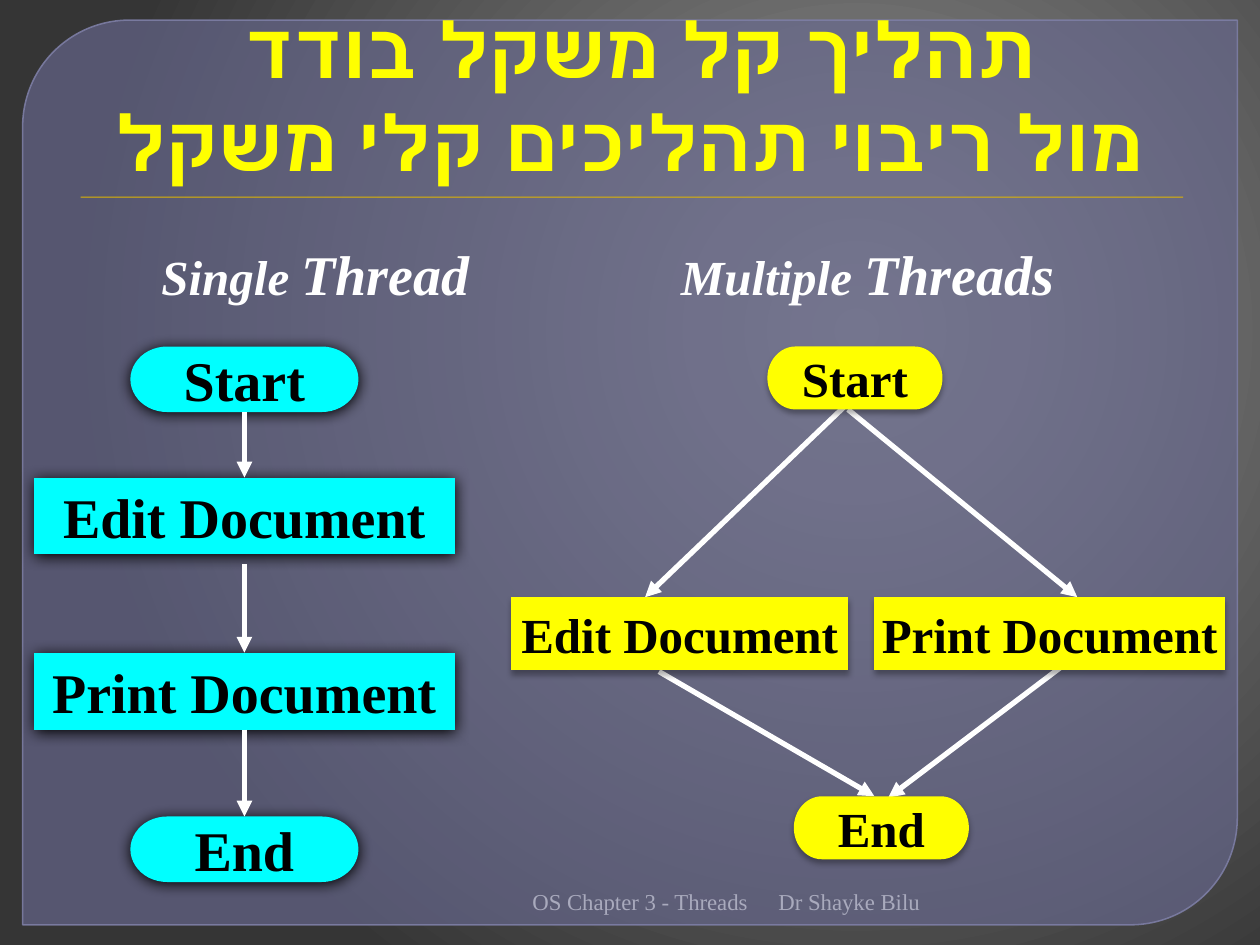
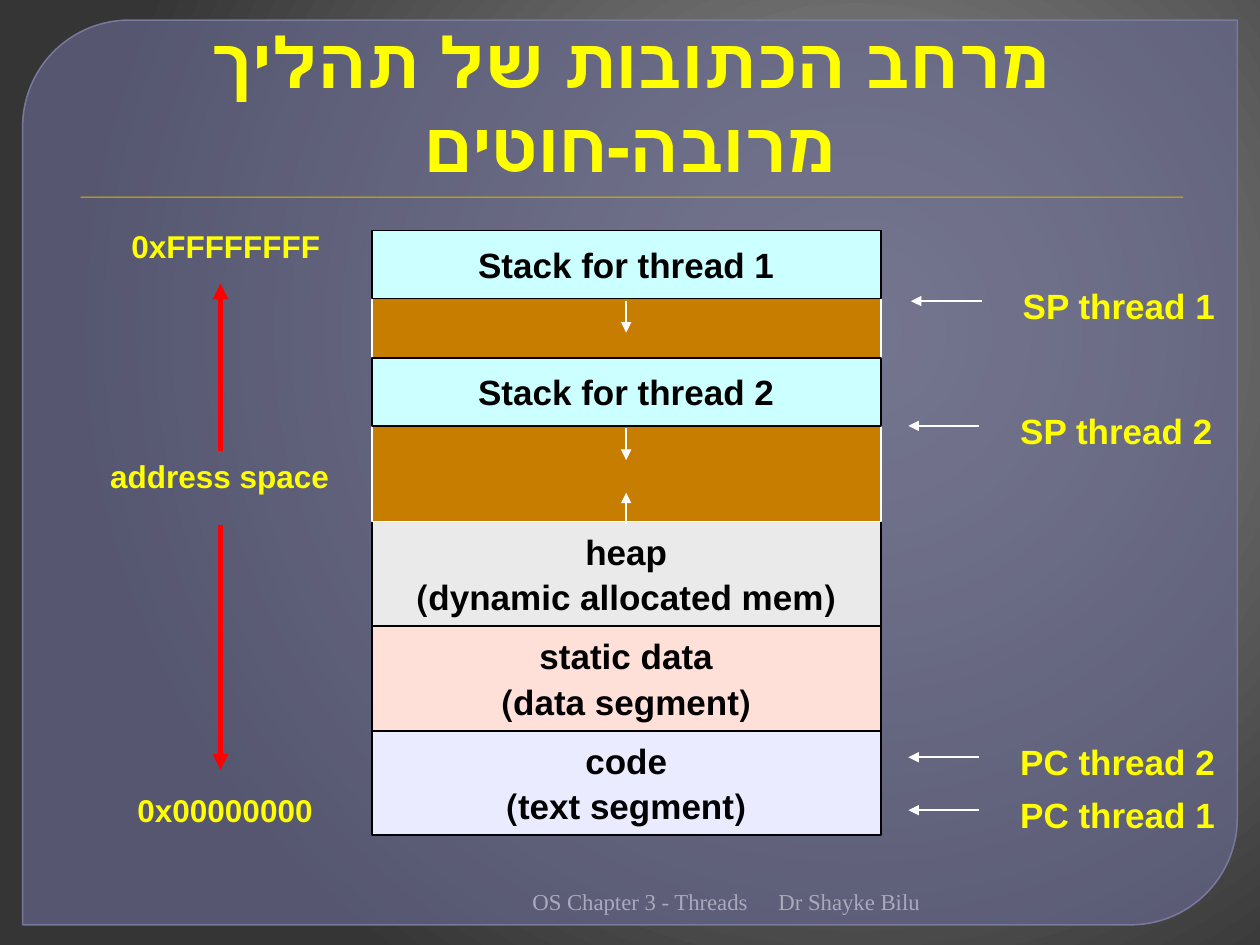
import pptx
import pptx.util
import pptx.oxml
import pptx.oxml.ns
import pptx.dml.color
import pptx.enum.shapes
import pptx.enum.text

Inches = pptx.util.Inches
Pt = pptx.util.Pt
RGB = pptx.dml.color.RGBColor
SHAPE = pptx.enum.shapes.MSO_SHAPE
ALIGN = pptx.enum.text.PP_ALIGN
ANCHOR = pptx.enum.text.MSO_ANCHOR
qn = pptx.oxml.ns.qn

# Colours
PANEL = RGB(0x68, 0x69, 0x90)
EDGE = RGB(0x7E, 0x7F, 0xA6)
GOLD = RGB(0xE0, 0xB6, 0x02)
YELLOW = RGB(0xFF, 0xFF, 0x00)
CYAN = RGB(0x00, 0xFF, 0xFF)
WHITE = RGB(0xFF, 0xFF, 0xFF)
BLACK = RGB(0x00, 0x00, 0x00)
RED = RGB(0xFF, 0x00, 0x00)
GREY = RGB(0xA9, 0xAA, 0xBD)
STACK = RGB(0xCC, 0xFF, 0xFF)
FREE = RGB(0xC7, 0x7D, 0x00)
HEAP = RGB(0xEA, 0xEA, 0xEA)
DATA = RGB(0xFF, 0xE0, 0xD9)
CODE = RGB(0xEB, 0xEB, 0xFF)

SANS, SERIF = "Arial", "Times New Roman"

# Shadows: opacity in percent, blur and distance in points
DEEP, SOFT, THIN = (100, 8.5, 1), (32, 3.5, 2.2), (75, 1, 1)

NS = pptx.oxml.ns.nsdecls("a", "p")
STOPS = ((0, "8C8C8C"), (20, "7F7F7F"), (100, "353535"))


def xml(text):
    """Make an element from text with one %s for the namespaces."""
    return pptx.oxml.parse_xml(text % NS)


def write(frame, paras, size=20, font=SANS, color=BLACK, bold=True,
          italic=False, align=ALIGN.CENTER, anchor=ANCHOR.TOP, rtl=False,
          wrap=False, before=0):
    """Fill a frame; a paragraph is a string or a list of (text, size)."""
    frame.word_wrap = wrap
    frame.auto_size = pptx.enum.text.MSO_AUTO_SIZE.NONE
    frame.vertical_anchor = anchor
    for i, runs in enumerate(paras):
        para = frame.add_paragraph() if i else frame.paragraphs[0]
        para.alignment = align
        if before:
            para.space_before = Pt(before)
        if rtl:
            para._p.get_or_add_pPr().set("rtl", "1")
        if isinstance(runs, str):
            runs = [(runs, size)]
        for text, points in runs:
            for n, line in enumerate(text.split("\n")):
                if n:
                    para.add_line_break()
                run = para.add_run()
                run.text = line
                run.font.name = font
                run.font.size = Pt(points)
                run.font.bold = bold
                run.font.italic = italic
                run.font.color.rgb = color


def label(slide, box, paras, **style):
    area = slide.shapes.add_textbox(*map(Inches, box))
    write(area.text_frame, paras, **style)


def fade(fill, percent):
    """Make the colour under a fill element partly transparent."""
    color = next(fill.iter(qn("a:srgbClr")))
    color.append(xml(f'<a:alpha %s val="{percent * 1000}"/>'))


def block(slide, kind, box, fill, line=None, width=1, shadow=None):
    shape = slide.shapes.add_shape(kind, *map(Inches, box))
    shape.fill.solid()
    shape.fill.fore_color.rgb = fill
    if line is None:
        shape.line.fill.background()
    else:
        shape.line.color.rgb = line
        shape.line.width = Pt(width)
    shape.shadow.inherit = False
    if shadow:
        alpha, blur, dist = shadow
        shape.element.spPr.find(qn("a:effectLst")).append(xml(
            f'<a:outerShdw %s blurRad="{Pt(blur)}" dist="{Pt(dist)}" '
            'dir="5400000" rotWithShape="0"><a:srgbClr val="000000">'
            f'<a:alpha val="{alpha * 1000}"/></a:srgbClr></a:outerShdw>'))
    return shape


def arrow(slide, start, end, color=WHITE, width=3):
    line = slide.shapes.add_connector(
        pptx.enum.shapes.MSO_CONNECTOR.STRAIGHT, *map(Inches, start + end))
    line.line.color.rgb = color
    line.line.width = Pt(width)
    props = line.element.spPr
    props.find(qn("a:ln")).append(xml('<a:tailEnd %s type="triangle"/>'))
    props.append(xml("<a:effectLst %s/>"))


def design(layout, slide):
    """Give the layout its background, panel and title rule."""
    stops = "".join(f'<a:gs pos="{at * 1000}"><a:srgbClr val="{hue}"/></a:gs>'
                    for at, hue in STOPS)
    layout.element.cSld.insert(0, xml(
        f"<p:bg %s><p:bgPr><a:gradFill><a:gsLst>{stops}</a:gsLst>"
        '<a:path path="circle"><a:fillToRect l="68000" t="35000" r="32000" '
        'b="65000"/></a:path></a:gradFill><a:effectLst/></p:bgPr></p:bg>'))
    panel = block(slide, SHAPE.ROUND_2_DIAG_RECTANGLE,
                  (0.18, 0.16, 9.64, 7.18), PANEL, EDGE, 0.87)
    panel.adjustments[0] = 0.118
    props = panel.element.spPr
    fade(props.find(qn("a:solidFill")), 65)
    fade(props.find(qn("a:ln")), 88)
    rule = block(slide, SHAPE.RECTANGLE, (0.64, 1.56, 8.75, 0.01), GOLD,
                 shadow=THIN)
    for i, part in enumerate((panel, rule)):
        layout.shapes.element.insert(2 + i, part.element)


def head(slide, text, size):
    """Title and the two footers."""
    title = slide.shapes.title
    title.left, title.top, title.width, title.height = map(
        Inches, (0.5, 0.28, 9, 1.25))
    write(title.text_frame, [text], size=size, color=YELLOW, rtl=True,
          anchor=ANCHOR.BOTTOM, wrap=True)
    for box, note, align in (
            ((1.42, 7, 4.61, 0.3), "OS Chapter 3 - Threads", ALIGN.RIGHT),
            ((6.08, 7, 3.28, 0.3), "Dr Shayke Bilu", ALIGN.LEFT)):
        label(slide, box, [note], size=13, font=SERIF, color=GREY,
              bold=False, align=align, rtl=True, wrap=True)


def step(slide, text, box, fill, size, shadow):
    """A flow chart box; the ends of a flow are rounded."""
    kind = (SHAPE.FLOWCHART_TERMINATOR if text in ("Start", "End")
            else SHAPE.FLOWCHART_PROCESS)
    shape = block(slide, kind, box, fill, shadow=shadow)
    write(shape.text_frame, [text], size=size, font=SERIF,
          anchor=ANCHOR.MIDDLE)


def flows(slide):
    head(slide, "תהליך קל משקל בודד \nמול ריבוי תהליכים קלי משקל", 44)
    for box, first, second in (
            ((1.17, 1.85, 2.67, 0.64), "Single ", "Thread"),
            ((5.29, 1.85, 3.19, 0.64), "Multiple ", "Threads")):
        label(slide, box, [[(first, 28), (second, 32)]], font=SERIF,
              color=WHITE, italic=True, anchor=ANCHOR.MIDDLE)

    # One thread: a single column
    mid = 1.94
    for text, top, wide, high in (
            ("Start", 2.75, 1.81, 0.52), ("Edit Document", 3.79, 3.34, 0.61),
            ("Print Document", 5.18, 3.34, 0.61), ("End", 6.48, 1.81, 0.52)):
        step(slide, text, (mid - wide / 2, top, wide, high), CYAN, 32, DEEP)
    for top, end in ((3.27, 3.79), (4.48, 5.18), (5.79, 6.48)):
        arrow(slide, (mid, top), (mid, end))

    # Many threads: two branches
    for start, end in (((6.73, 3.2), (5.12, 4.74)),
                       ((6.73, 3.25), (8.55, 4.74)),
                       ((5.23, 5.33), (6.94, 6.32)),
                       ((8.44, 5.28), (7.05, 6.33))):
        arrow(slide, start, end)
    for text, box in (("Start", (6.09, 2.75, 1.39, 0.5)),
                      ("Edit Document", (4.06, 4.74, 2.67, 0.58)),
                      ("Print Document", (6.94, 4.74, 2.78, 0.58)),
                      ("End", (6.3, 6.32, 1.39, 0.5))):
        step(slide, text, box, YELLOW, 28, SOFT)


def memory(slide):
    head(slide, "מרחב הכתובות של תהליך מרובה-חוטים", 40)

    # Address scale
    for text, box in (("0xFFFFFFFF", (0.92, 1.75, 1.72, 0.4)),
                      ("address space", (0.75, 3.58, 1.96, 0.4)),
                      ("0x00000000", (0.98, 6.23, 1.6, 0.4))):
        label(slide, box, [text], size=18, color=YELLOW, align=ALIGN.RIGHT,
              rtl=True)
    for start, end in ((3.58, 2.25), (4.17, 6.11)):
        arrow(slide, (1.75, start), (1.75, end), RED)

    # Memory blocks
    left, wide = 2.95, 4.04
    for top, high, fill, line, text in (
            (5.8, 0.83, CODE, BLACK, ["code", "(text segment)"]),
            (4.97, 0.83, DATA, BLACK, ["static data", "(data segment)"]),
            (4.14, 0.83, HEAP, BLACK, ["heap", "(dynamic allocated mem)"]),
            (2.37, 1.77, FREE, WHITE, []),
            (1.83, 0.54, STACK, BLACK, ["Stack for thread 1"]),
            (2.84, 0.54, STACK, BLACK, ["Stack for thread 2"])):
        shape = block(slide, SHAPE.RECTANGLE, (left, top, wide, high), fill,
                      line)
        write(shape.text_frame, text, anchor=ANCHOR.MIDDLE, rtl=True,
              before=2)

    # Directions of growth
    mid = left + wide / 2
    for start, end in ((2.39, 2.64), (3.4, 3.65), (4.16, 3.91)):
        arrow(slide, (mid, start), (mid, end), width=1)

    # Pointers of each thread
    for text, x, y, span in (
            ("SP thread 1", 7.79, 2.39, 1.74), ("SP thread 2", 7.77, 3.38, 1.74),
            ("PC thread 2", 7.77, 6.01, 1.76), ("PC thread 1", 7.77, 6.43, 1.76)):
        arrow(slide, (x, y), (x - 0.56, y), width=1)
        label(slide, (x + 0.22, y - 0.18, span, 0.44), [text], color=YELLOW,
              rtl=True, before=2)


def main():
    deck = pptx.Presentation()
    deck.slide_width, deck.slide_height = Inches(10), Inches(7.5)
    layout = deck.slide_layouts[5]
    first, second = (deck.slides.add_slide(layout) for _ in range(2))
    design(layout, first)
    flows(first)
    memory(second)
    deck.save("out.pptx")


main()
